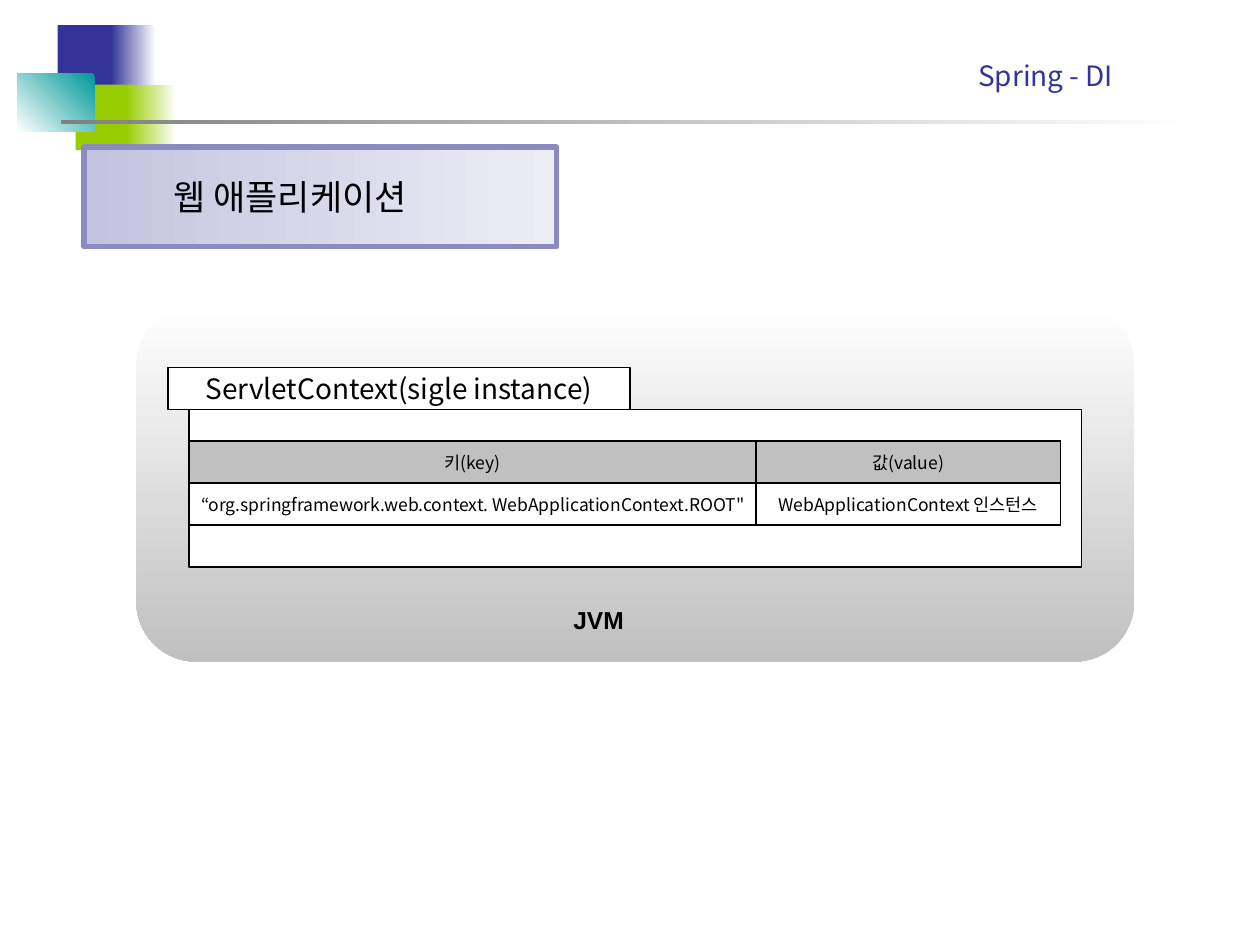
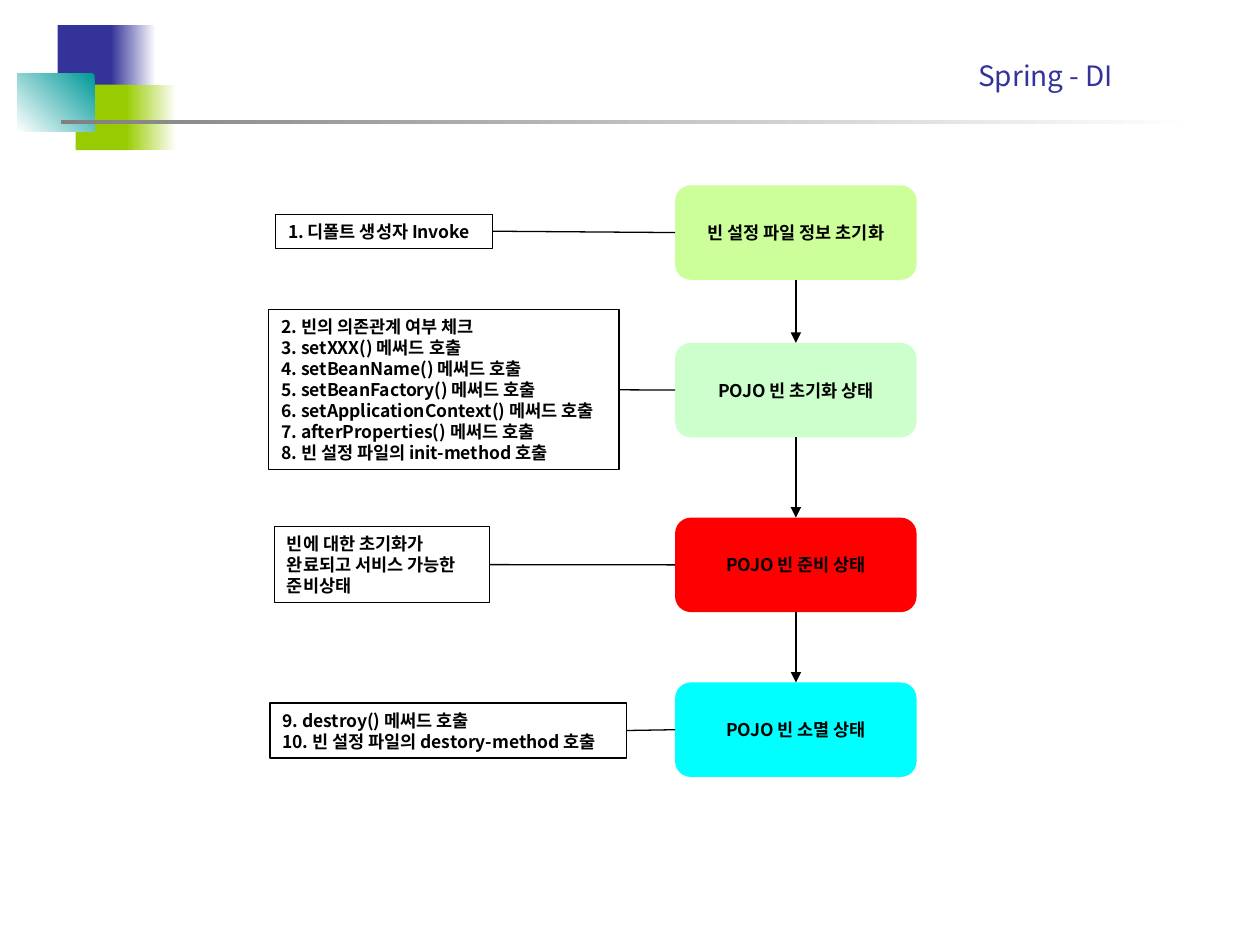
"""Builds two slides on the web application context and the bean life cycle."""
from dataclasses import dataclass
from itertools import pairwise
from typing import NamedTuple

from lxml.etree import SubElement
from pptx import Presentation
from pptx.dml.color import RGBColor
from pptx.enum.shapes import MSO_CONNECTOR, MSO_SHAPE
from pptx.enum.text import MSO_ANCHOR, PP_ALIGN
from pptx.oxml.ns import qn
from pptx.shapes.autoshape import Shape
from pptx.slide import Slide
from pptx.text.text import TextFrame
from pptx.util import Emu, Inches, Pt

COLUMNS, ROWS = 120, 90
WIDTH, HEIGHT = Inches(10), Inches(7.5)

BLACK = RGBColor(0x00, 0x00, 0x00)
WHITE = RGBColor(0xFF, 0xFF, 0xFF)
SILVER = RGBColor(0xC0, 0xC0, 0xC0)
GRAY = RGBColor(0x80, 0x80, 0x80)
NAVY = RGBColor(0x33, 0x33, 0x99)
GREEN = RGBColor(0x99, 0xCC, 0x00)
TEAL = RGBColor(0x00, 0x99, 0x99)
PALE_LILAC = RGBColor(0xED, 0xED, 0xF5)
LILAC = RGBColor(0xC3, 0xC3, 0xDF)
VIOLET = RGBColor(0x8B, 0x8B, 0xC1)
LIME = RGBColor(0xCC, 0xFF, 0x99)
MINT = RGBColor(0xCC, 0xFF, 0xCC)
RED = RGBColor(0xFF, 0x00, 0x00)
CYAN = RGBColor(0x00, 0xFF, 0xFF)

KOREAN_FONT = "Noto Sans CJK KR"
LEFT_SITE, BOTTOM_SITE, RIGHT_SITE, TOP_SITE = 1, 2, 3, 0
HAIRLINE = 0.75


class Area(NamedTuple):
    """Place on the grid, in columns and rows."""

    column: float
    row: float
    columns: float
    rows: float

    def lengths(self) -> tuple[Emu, Emu, Emu, Emu]:
        return across(self.column), down(self.row), across(self.columns), down(self.rows)


class Fade(NamedTuple):
    """Two-colour gradient with its counter-clockwise angle."""

    start: RGBColor
    end: RGBColor
    angle: float = 180


class Type(NamedTuple):
    """Look of a text."""

    size: float
    color: RGBColor = BLACK
    bold: bool = False
    font: str = KOREAN_FONT
    align: PP_ALIGN = PP_ALIGN.LEFT


@dataclass(frozen=True)
class Panel:
    """Filled or outlined area."""

    area: Area
    fill: RGBColor | Fade | None = None
    outline: RGBColor | None = None
    weight: float = HAIRLINE
    rounded: bool = False


@dataclass(frozen=True)
class Stage:
    """Bean state with the note that explains it."""

    row: float
    label: str
    fill: RGBColor
    note_area: Area
    note: tuple[str, ...]
    note_wraps: bool = False


HEADING = Type(16, NAVY)
TOPIC = Type(20)
CONTEXT = Type(16, align=PP_ALIGN.CENTER)
CELL = Type(10, align=PP_ALIGN.CENTER)
MACHINE = Type(14, bold=True, font="Arial", align=PP_ALIGN.CENTER)
STATE = Type(10, bold=True, align=PP_ALIGN.CENTER)
NOTE = Type(10, bold=True)

BANNER = (
    Panel(Area(5.5, 2.4, 5.75, 6.25), NAVY),
    Panel(Area(10.55, 2.4, 4.3, 6.25), Fade(WHITE, NAVY)),
    Panel(Area(7.2, 8.05, 5.5, 6.25), GREEN),
    Panel(Area(12, 8.05, 4.8, 6.25), Fade(WHITE, GREEN)),
    Panel(Area(1.65, 7.05, 7.35, 5.5), Fade(TEAL, WHITE, 225)),
    Panel(Area(5.85, 11.4, 108, 0.4), Fade(WHITE, GRAY)),
)

ATTRIBUTES = (
    ("키(key)", "값(value)"),
    (
        "“org.springframework.web.context. WebApplicationContext.ROOT\"",
        "WebApplicationContext 인스턴스",
    ),
)
ATTRIBUTE_COLUMNS = (54, 29)
ATTRIBUTE_ROW = 4

STAGES = (
    Stage(17.65, "빈 설정 파일 정보 초기화", LIME, Area(26.25, 20.4, 20.65, 3.25),
          ("1. 디폴트 생성자 Invoke",)),
    Stage(32.65, "POJO 빈 초기화 상태", MINT, Area(25.6, 29.5, 33.35, 15.25),
          ("2. 빈의 의존관계 여부 체크",
           "3. setXXX() 메써드 호출",
           "4. setBeanName() 메써드 호출",
           "5. setBeanFactory() 메써드 호출",
           "6. setApplicationContext() 메써드 호출",
           "7. afterProperties() 메써드 호출",
           "8. 빈 설정 파일의 init-method 호출")),
    Stage(49.3, "POJO 빈 준비 상태", RED, Area(26.15, 50.15, 20.5, 7.25),
          ("빈에 대한 초기화가 완료되고 서비스 가능한 준비상태",), True),
    Stage(65, "POJO 빈 소멸 상태", CYAN, Area(25.7, 66.95, 34, 5.25),
          ("9. destroy() 메써드 호출",
           "10. 빈 설정 파일의 destory-method 호출")),
)


def across(columns: float) -> Emu:
    return Emu(round(WIDTH * columns / COLUMNS))


def down(rows: float) -> Emu:
    return Emu(round(HEIGHT * rows / ROWS))


def write(frame: TextFrame, lines: tuple[str, ...], look: Type) -> None:
    for index, line in enumerate(lines):
        paragraph = frame.add_paragraph() if index else frame.paragraphs[0]
        paragraph.text = line
        paragraph.alignment = look.align
        font = paragraph.font
        font.size, font.bold, font.name = Pt(look.size), look.bold, look.font
        font.color.rgb = look.color
        defaults = paragraph._p.pPr.find(qn("a:defRPr"))
        SubElement(defaults, qn("a:ea"), typeface=look.font)


def draw_panel(slide: Slide, panel: Panel) -> Shape:
    outline_kind = MSO_SHAPE.ROUNDED_RECTANGLE if panel.rounded else MSO_SHAPE.RECTANGLE
    shape = slide.shapes.add_shape(outline_kind, *panel.area.lengths())
    shape.shadow.inherit = False
    if isinstance(panel.fill, Fade):
        shape.fill.gradient()
        shape.fill.gradient_angle = panel.fill.angle
        for stop, color in zip(shape.fill.gradient_stops, panel.fill[:2]):
            stop.color.rgb = color
    elif panel.fill is None:
        shape.fill.background()
    else:
        shape.fill.solid()
        shape.fill.fore_color.rgb = panel.fill
    if panel.outline is None:
        shape.line.fill.background()
    else:
        shape.line.color.rgb = panel.outline
        shape.line.width = Pt(panel.weight)
    return shape


def draw_label(slide: Slide, panel: Panel, lines: tuple[str, ...], look: Type,
               wraps: bool = True, indent: float = 1.2) -> Shape:
    shape = draw_panel(slide, panel)
    frame = shape.text_frame
    frame.word_wrap = wraps
    frame.vertical_anchor = MSO_ANCHOR.MIDDLE
    frame.margin_left = across(indent)
    write(frame, lines, look)
    return shape


def draw_caption(slide: Slide, area: Area, text: str, look: Type) -> None:
    frame = slide.shapes.add_textbox(*area.lengths()).text_frame
    frame.word_wrap = True
    write(frame, (text,), look)


def link(slide: Slide, start: Shape, start_site: int, end: Shape, end_site: int,
         arrow: bool = False) -> None:
    connector = slide.shapes.add_connector(MSO_CONNECTOR.STRAIGHT, 0, 0, 0, 0)
    connector.begin_connect(start, start_site)
    connector.end_connect(end, end_site)
    connector.line.color.rgb = BLACK
    connector.line.width = Pt(HAIRLINE)
    if arrow:
        SubElement(connector.line._get_or_add_ln(), qn("a:tailEnd"), type="triangle")
    SubElement(connector._element.spPr, qn("a:effectLst"))


def draw_attributes(slide: Slide, column: float, row: float) -> None:
    area = Area(column, row, sum(ATTRIBUTE_COLUMNS), ATTRIBUTE_ROW * len(ATTRIBUTES))
    table = slide.shapes.add_table(
        len(ATTRIBUTES), len(ATTRIBUTE_COLUMNS), *area.lengths()).table
    table.first_row = table.horz_banding = False
    for table_column, columns in zip(table.columns, ATTRIBUTE_COLUMNS):
        table_column.width = across(columns)
    for row_index, texts in enumerate(ATTRIBUTES):
        table.rows[row_index].height = down(ATTRIBUTE_ROW)
        for column_index, text in enumerate(texts):
            cell = table.cell(row_index, column_index)
            cell.margin_left = cell.margin_right = across(0.3)
            cell.vertical_anchor = MSO_ANCHOR.MIDDLE
            for side in ("L", "R", "T", "B"):
                border = SubElement(cell._tc.get_or_add_tcPr(), qn(f"a:ln{side}"),
                                    w=str(Pt(HAIRLINE)))
                ink = SubElement(border, qn("a:solidFill"))
                SubElement(ink, qn("a:srgbClr"), val=str(BLACK))
            cell.fill.solid()
            cell.fill.fore_color.rgb = WHITE if row_index else SILVER
            write(cell.text_frame, (text,), CELL)


def add_page(deck: Presentation) -> Slide:
    slide = deck.slides.add_slide(deck.slide_layouts[6])
    for panel in BANNER:
        draw_panel(slide, panel)
    draw_caption(slide, Area(92, 5, 20.75, 4.4), "Spring - DI", HEADING)
    return slide


def build_context_page(deck: Presentation) -> None:
    slide = add_page(deck)
    draw_panel(slide, Panel(Area(13, 29, 95, 34), Fade(WHITE, SILVER, 270), rounded=True))
    draw_panel(slide, Panel(Area(18, 39, 85, 15), WHITE, BLACK))
    draw_label(slide, Panel(Area(16, 35, 44, 4), WHITE, BLACK),
               ("ServletContext(sigle instance)",), CONTEXT)
    draw_attributes(slide, 18, 42)
    draw_label(slide, Panel(Area(8, 14, 45, 9.5), Fade(PALE_LILAC, LILAC), VIOLET, 3),
               ("웹 애플리케이션",), TOPIC, indent=8.5)
    draw_caption(slide, Area(46, 57, 22, 4), "JVM", MACHINE)


def build_life_cycle_page(deck: Presentation) -> None:
    slide = add_page(deck)
    states = []
    for stage in STAGES:
        state = draw_label(
            slide, Panel(Area(64.3, stage.row, 23, 9), stage.fill, rounded=True),
            (stage.label,), STATE)
        note = draw_label(slide, Panel(stage.note_area, outline=BLACK),
                          stage.note, NOTE, stage.note_wraps)
        link(slide, note, RIGHT_SITE, state, LEFT_SITE)
        states.append(state)
    for earlier, later in pairwise(states):
        link(slide, earlier, BOTTOM_SITE, later, TOP_SITE, arrow=True)


def main() -> None:
    deck = Presentation()
    deck.slide_width, deck.slide_height = WIDTH, HEIGHT
    build_context_page(deck)
    build_life_cycle_page(deck)
    deck.save("out.pptx")


if __name__ == "__main__":
    main()
